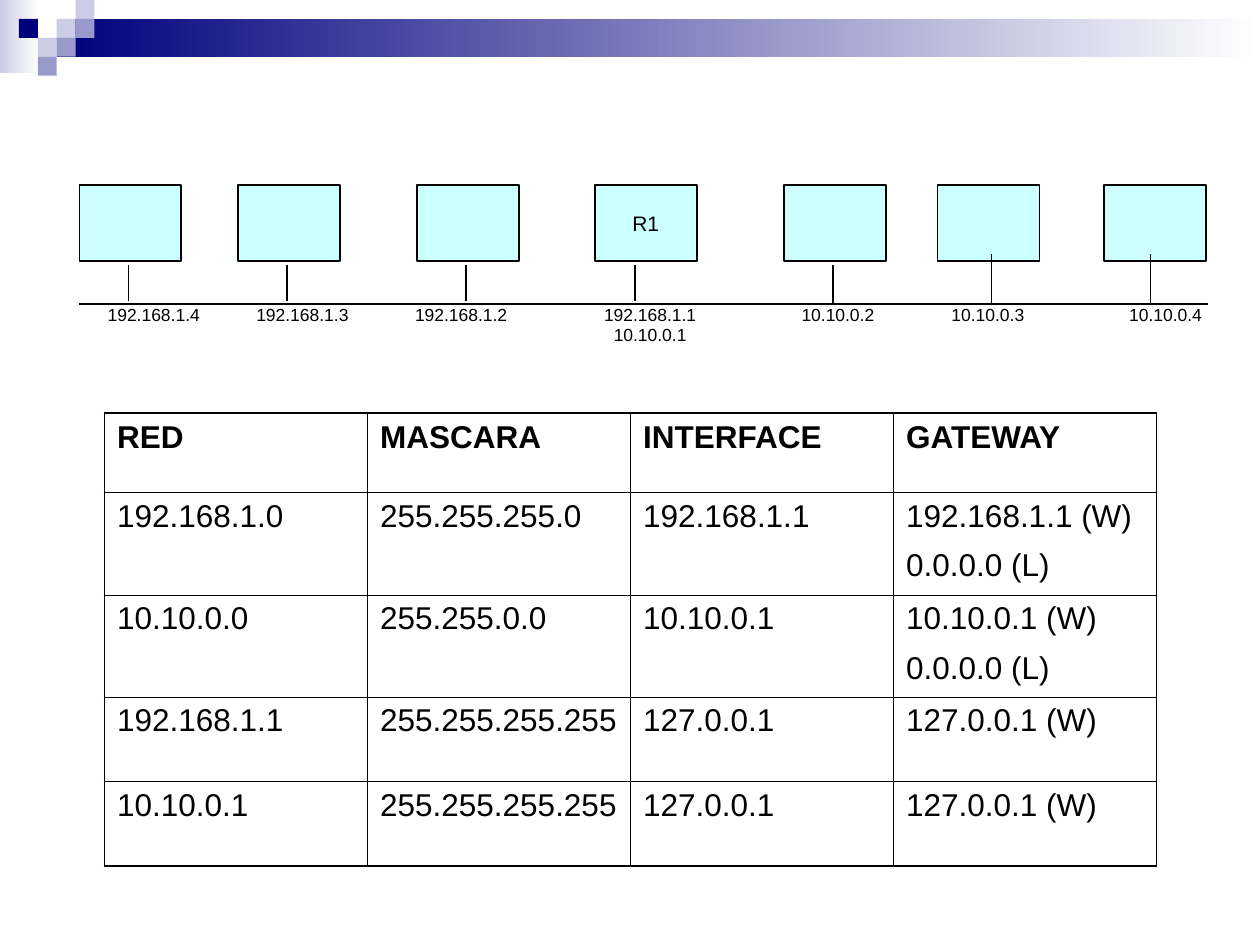
from lxml.etree import SubElement
from pptx import Presentation
from pptx.dml.color import RGBColor
from pptx.enum.shapes import MSO_CONNECTOR, MSO_SHAPE
from pptx.enum.text import MSO_ANCHOR, PP_ALIGN
from pptx.oxml.ns import qn
from pptx.util import Inches, Pt


def paint(color_format, color):
    color_format.rgb = RGBColor.from_string(color)


def write(frame, lines, size, align=PP_ALIGN.LEFT, bold=False, gap=0):
    for index, line in enumerate(lines):
        para = frame.paragraphs[0] if index == 0 else frame.add_paragraph()
        para.text = line
        para.alignment = align
        if index:
            para.space_before = Pt(gap)
        for name, value in {"name": "Arial", "size": Pt(size), "bold": bold}.items():
            setattr(para.font, name, value)
        paint(para.font.color, "000000")


deck = Presentation()
deck.slide_width, deck.slide_height = Inches(10), Inches(7.5)
page = deck.slides.add_slide(deck.slide_layouts[6])
shapes = page.shapes

# Gradient bands: left, top, width, height, start colour
for *place, color in [(0, 0, 0.31, 0.58, "CCCCE6"), (0.45, 0.15, 9.55, 0.3, "00007D")]:
    band = shapes.add_shape(MSO_SHAPE.RECTANGLE, *map(Inches, place))
    band.shadow.inherit = False
    band.line.fill.background()
    band.fill.gradient()
    band.fill.gradient_angle = 0
    for stop, stop_color in zip(band.fill.gradient_stops, (color, "FFFFFF")):
        paint(stop.color, stop_color)
    for stop, position in zip(band.fill.gradient_stops, (0, 1)):
        stop.position = position

# Mosaic of small squares: column, row, colour
tile = Inches(0.15)
mosaic = [(3, 1, "CCCCE6"), (4, 0, "CCCCE6"), (4, 1, "9999CC"), (2, 2, "CCCCE6"),
          (1, 1, "00007D"), (3, 2, "9999CC"), (2, 3, "9999CC")]
for column, row, color in mosaic:
    square = shapes.add_shape(MSO_SHAPE.RECTANGLE, column * tile, row * tile, tile, tile)
    square.shadow.inherit = False
    square.line.fill.background()
    square.fill.solid()
    paint(square.fill.fore_color, color)

# Hosts: box left, drop x, drop top, drop bottom, label left, name, addresses
hosts = [
    (0.63, 1.02, 2.1, 2.39, 0.47, "", ["192.168.1.4"]),
    (1.89, 2.28, 2.1, 2.39, 1.65, "", ["192.168.1.3"]),
    (3.31, 3.7, 2.1, 2.39, 2.91, "", ["192.168.1.2"]),
    (4.72, 5.04, 2.1, 2.39, 4.41, "R1", ["192.168.1.1", "10.10.0.1"]),
    (6.22, 6.61, 2.1, 2.41, 5.9, "", ["10.10.0.2"]),
    (7.44, 7.87, 2.02, 2.41, 7.09, "", ["10.10.0.3"]),
    (8.76, 9.13, 2.02, 2.41, 8.5, "", ["10.10.0.4"]),
]
wires = [(0.63, 2.41, 9.59, 2.41)]
for left, drop, top, bottom, label_left, name, addresses in hosts:
    wires.append((drop, top, drop, bottom))
    box = shapes.add_shape(MSO_SHAPE.RECTANGLE, *map(Inches, (left, 1.47, 0.81, 0.6)))
    box.shadow.inherit = False
    box.fill.solid()
    paint(box.fill.fore_color, "CCFFFF")
    paint(box.line.color, "000000")
    box.line.width = Pt(1)
    if name:
        box.text_frame.word_wrap = False
        box.text_frame.vertical_anchor = MSO_ANCHOR.MIDDLE
        write(box.text_frame, [name], 12, PP_ALIGN.CENTER)
    for index, address in enumerate(addresses):
        place = (label_left, 2.41 + 0.16 * index, 1.5, 0.17)
        frame = shapes.add_textbox(*map(Inches, place)).text_frame
        frame.word_wrap = True
        for side in ("left", "top", "right", "bottom"):
            setattr(frame, f"margin_{side}", 0)
        write(frame, [address], 10, PP_ALIGN.CENTER)

# Bus line and drops
for ends in wires:
    wire = shapes.add_connector(MSO_CONNECTOR.STRAIGHT, *map(Inches, ends))
    paint(wire.line.color, "000000")
    wire.line.width = Pt(1)
    SubElement(wire._element.spPr, qn("a:effectLst"))

# Routing table
routes = [
    ["RED", "MASCARA", "INTERFACE", "GATEWAY"],
    ["192.168.1.0", "255.255.255.0", "192.168.1.1", "192.168.1.1 (W)\n0.0.0.0 (L)"],
    ["10.10.0.0", "255.255.0.0", "10.10.0.1", "10.10.0.1 (W)\n0.0.0.0 (L)"],
    ["192.168.1.1", "255.255.255.255", "127.0.0.1", "127.0.0.1 (W)"],
    ["10.10.0.1", "255.255.255.255", "127.0.0.1", "127.0.0.1 (W)"],
]
row_heights = [0.63, 0.81, 0.81, 0.67, 0.67]
last_row, last_column = len(routes) - 1, len(routes[0]) - 1
table = shapes.add_table(len(routes), len(routes[0]), *map(
    Inches, (0.83, 3.28, 8.35, sum(row_heights)))).table
table.first_row = table.horz_banding = False
for row, height in zip(table.rows, row_heights):
    row.height = Inches(height)
for r, route in enumerate(routes):
    for c, text in enumerate(route):
        cell = table.cell(r, c)
        write(cell.text_frame, text.split("\n"), 18, bold=r == 0, gap=8)
        properties = cell._tc.get_or_add_tcPr()
        outer_edges = {"lnL": c == 0, "lnR": c == last_column,
                       "lnT": r == 0, "lnB": r == last_row}
        for edge, outer in outer_edges.items():
            width = Pt(1.08 if outer else 0.45)
            border = SubElement(properties, qn(f"a:{edge}"), w=str(width))
            SubElement(SubElement(border, qn("a:solidFill")), qn("a:srgbClr"), val="000000")
        cell.fill.background()

deck.save("out.pptx")
